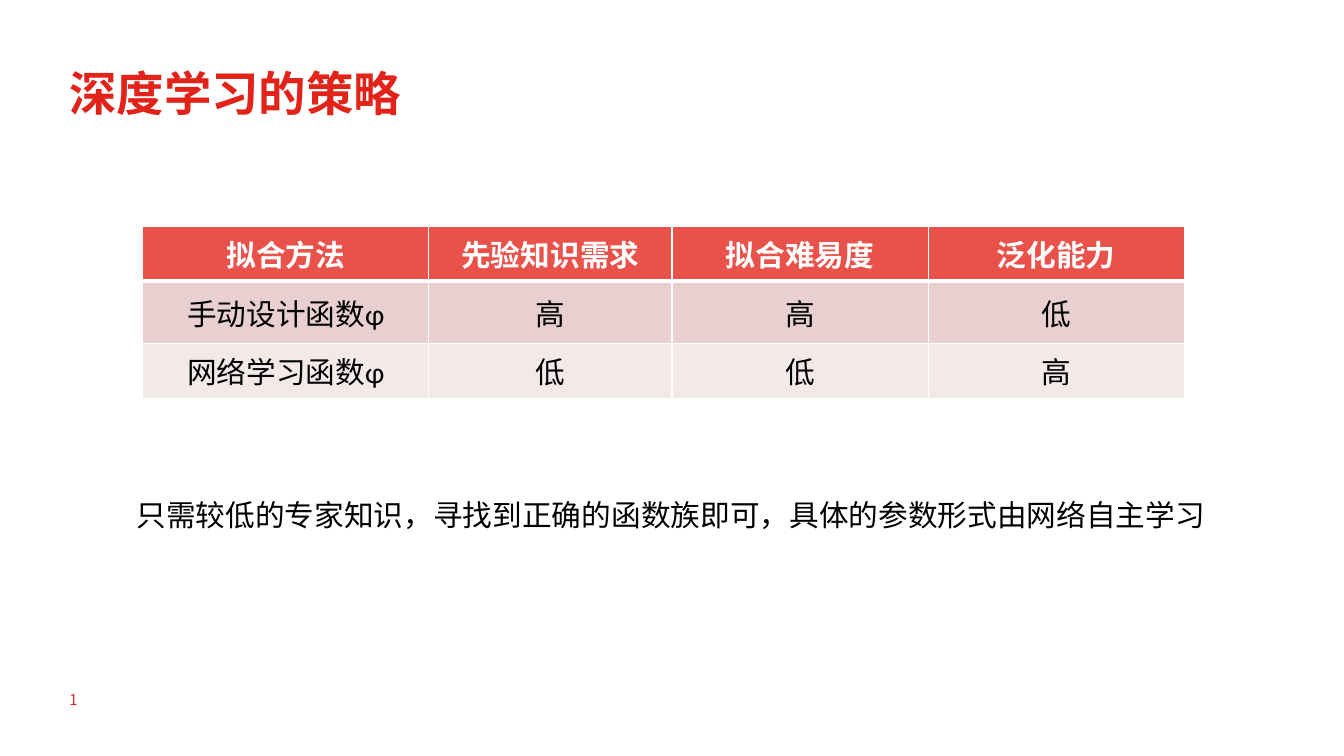
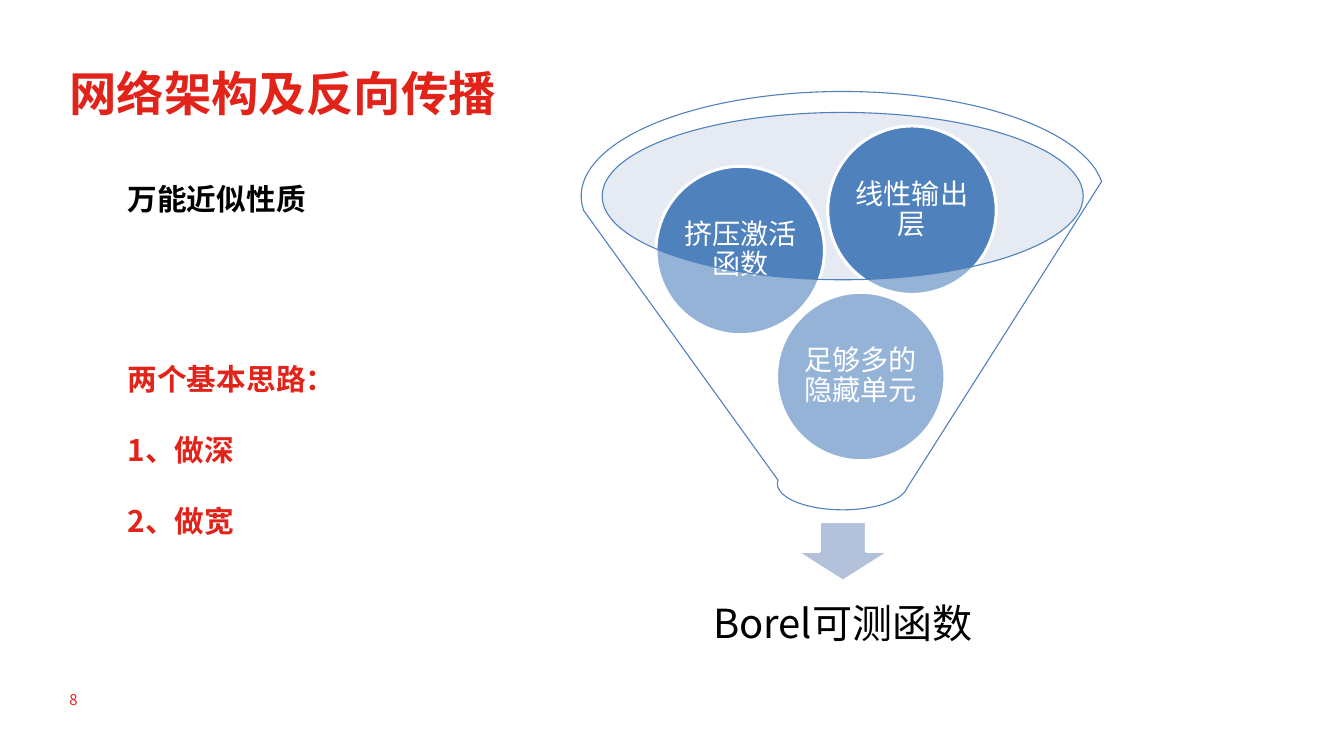
"""Build two slides on deep learning strategy and network architecture."""
from dataclasses import dataclass

from lxml import etree
from pptx import Presentation
from pptx import util as u
from pptx.dml.color import RGBColor
from pptx.enum import shapes, text as t
from pptx.oxml import ns

Cm, Pt = u.Cm, u.Pt


@dataclass(frozen=True)
class Theme:
    red: str = "E2231A"
    black: str = "000000"
    white: str = "FFFFFF"
    header: str = "E8524B"
    bands: tuple = ("E8D0D0", "F4E9E9")
    blue: str = "4F81BD"
    mouth: str = "C2CDE1"
    arrow: str = "B3C1DB"
    font: str = "Noto Sans CJK SC"
    table_font: str = "Calibri"
    title: int = 32
    result: int = 27
    body: int = 20
    circle: int = 19
    number: int = 10


theme = Theme()


def write(frame, text, size=theme.body, color=theme.black, bold=False,
          font=theme.font, align=None, spacing=None, anchor=None,
          inset=None, wrap=True):
    """Fill a text frame, one paragraph per line of text."""
    frame.word_wrap = wrap
    if not wrap:
        frame.auto_size = t.MSO_AUTO_SIZE.SHAPE_TO_FIT_TEXT
    if anchor is not None:
        frame.vertical_anchor = anchor
    if inset is not None:
        frame.margin_left = frame.margin_right = Cm(inset)
        frame.margin_top = frame.margin_bottom = Cm(inset)
    for index, line in enumerate(text.split("\n")):
        paragraph = frame.add_paragraph() if index else frame.paragraphs[0]
        paragraph.alignment = align
        paragraph.line_spacing = spacing
        run = paragraph.add_run()
        run.text = line
        run.font.size = Pt(size)
        run.font.bold = bold
        run.font.name = font
        run.font.color.rgb = RGBColor.from_string(color)
        east_asian = etree.SubElement(run.font._element, ns.qn("a:ea"))
        east_asian.set("typeface", theme.font)


def paint(shape, fill, line=None, width=0.75, opacity=None):
    """Set the fill, outline and opacity of a shape."""
    shape.shadow.inherit = False
    shape.fill.solid()
    shape.fill.fore_color.rgb = RGBColor.from_string(fill)
    if opacity is not None:
        color = shape._element.spPr.find(".//" + ns.qn("a:srgbClr"))
        etree.SubElement(color, ns.qn("a:alpha")).set("val", str(opacity * 1000))
    if line is None:
        shape.line.fill.background()
    else:
        shape.line.color.rgb = RGBColor.from_string(line)
        shape.line.width = Pt(width)


presentation = Presentation()
presentation.slide_width, presentation.slide_height = Cm(32), Cm(18)

slides = []
for title, number in (("深度学习的策略", "1"), ("网络架构及反向传播", "8")):
    slide = presentation.slides.add_slide(presentation.slide_layouts[6])
    title_box = slide.shapes.add_textbox(Cm(1.4), Cm(1.4), Cm(17), Cm(1.8))
    write(title_box.text_frame, title, size=theme.title, color=theme.red, bold=True)
    number_box = slide.shapes.add_textbox(Cm(1.4), Cm(16.31), Cm(2.39), Cm(0.69))
    write(number_box.text_frame, number, size=theme.number, color=theme.red)
    slides.append(slide)
strategy, architecture = slides

rows = (
    ("拟合方法", "先验知识需求", "拟合难易度", "泛化能力"),
    ("手动设计函数φ", "高", "高", "低"),
    ("网络学习函数φ", "低", "低", "高"),
)
column_widths = (6.81, 5.79, 6.1, 6.1)
row_heights = (1.32, 1.47, 1.32)
table = strategy.shapes.add_table(
    len(rows), len(column_widths), Cm(3.4), Cm(5.38),
    Cm(sum(column_widths)), Cm(sum(row_heights))).table
for column, width in zip(table.columns, column_widths):
    column.width = Cm(width)
for row_index, (row, height) in enumerate(zip(rows, row_heights)):
    table.rows[row_index].height = Cm(height)
    is_header = row_index == 0
    fill = (theme.header, *theme.bands)[row_index]
    edges = {"lnL": 1, "lnR": 1, "lnT": 3 if row_index == 1 else 1,
             "lnB": 3 if is_header else 1}
    for column_index, label in enumerate(row):
        cell = table.cell(row_index, column_index)
        cell.vertical_anchor = t.MSO_ANCHOR.MIDDLE
        properties = cell._tc.get_or_add_tcPr()
        for edge, width in edges.items():
            border = etree.SubElement(properties, ns.qn("a:" + edge))
            border.set("w", str(Pt(width)))
            solid = etree.SubElement(border, ns.qn("a:solidFill"))
            etree.SubElement(solid, ns.qn("a:srgbClr")).set("val", theme.white)
        cell.fill.solid()
        cell.fill.fore_color.rgb = RGBColor.from_string(fill)
        write(cell.text_frame, label, bold=is_header, font=theme.table_font,
              color=theme.white if is_header else theme.black,
              align=t.PP_ALIGN.CENTER)

summary = strategy.shapes.add_textbox(Cm(3), Cm(11.71), Cm(26.16), Cm(1.12))
write(summary.text_frame,
      "只需较低的专家知识，寻找到正确的函数族即可，具体的参数形式由网络自主学习",
      wrap=False)

diagram = architecture.shapes.add_group_shape().shapes
preset = shapes.MSO_SHAPE
mouth = diagram.add_shape(preset.OVAL, Cm(14.33), Cm(2.67), Cm(11.48), Cm(3.99))
paint(mouth, theme.mouth, opacity=40)
arrow = diagram.add_shape(preset.DOWN_ARROW, Cm(18.95), Cm(12.42), Cm(2.24), Cm(1.42))
paint(arrow, theme.arrow, line=theme.white, width=2)

centered = dict(align=t.PP_ALIGN.CENTER, anchor=t.MSO_ANCHOR.MIDDLE, spacing=0.9)
result = diagram.add_textbox(Cm(14.73), Cm(13.56), Cm(10.67), Cm(2.67))
write(result.text_frame, "Borel可测函数", size=theme.result, inset=0.53, **centered)

diameter = Cm(4.01)
for left, top, condition in (
    (18.49, 6.96, "足够多的隐藏单元"),
    (15.62, 3.96, "挤压激活函数"),
    (19.71, 3, "线性输出层"),
):
    circle = diagram.add_shape(preset.OVAL, Cm(left), Cm(top), diameter, diameter)
    paint(circle, theme.blue, line=theme.white, width=2)
    write(circle.text_frame, condition, size=theme.circle, color=theme.white,
          inset=0.05, **centered)

funnel = diagram.add_shape(preset.FUNNEL, Cm(13.84), Cm(2.18), Cm(12.45), Cm(9.96))
paint(funnel, theme.white, line=theme.blue, opacity=40)

property_box = architecture.shapes.add_textbox(Cm(2.79), Cm(4.19), Cm(4.78), Cm(1.12))
write(property_box.text_frame, "万能近似性质", bold=True, wrap=False)
ideas_box = architecture.shapes.add_textbox(Cm(2.79), Cm(7.62), Cm(5.51), Cm(5.38))
write(ideas_box.text_frame, "两个基本思路：\n1、做深\n2、做宽", color=theme.red,
      bold=True, spacing=Pt(48), wrap=False)

presentation.save("out.pptx")
